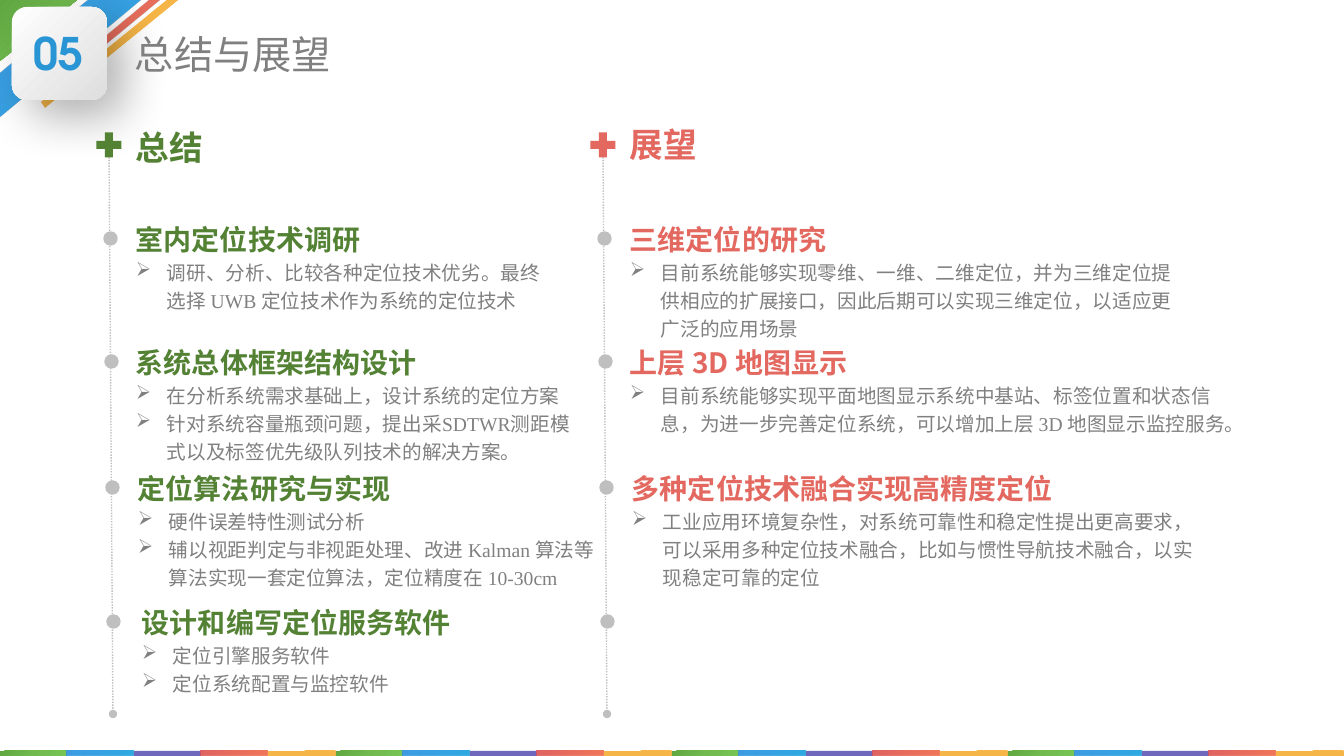
from lxml import etree
from pptx import Presentation
from pptx.dml.color import RGBColor
from pptx.enum.dml import MSO_LINE
from pptx.enum.shapes import MSO_CONNECTOR, MSO_SHAPE
from pptx.enum.text import MSO_ANCHOR, MSO_AUTO_SIZE, PP_ALIGN
from pptx.oxml.ns import qn
from pptx.util import Emu, Pt

RECT, OVAL = MSO_SHAPE.RECTANGLE, MSO_SHAPE.OVAL
PLUS, ROUNDED = MSO_SHAPE.MATH_PLUS, MSO_SHAPE.ROUNDED_RECTANGLE
STRAIGHT, DOTTED = MSO_CONNECTOR.STRAIGHT, MSO_LINE.ROUND_DOT
MIDDLE, TOP = MSO_ANCHOR.MIDDLE, MSO_ANCHOR.TOP
CENTER, LEFT = PP_ALIGN.CENTER, PP_ALIGN.LEFT
FIT = MSO_AUTO_SIZE.SHAPE_TO_FIT_TEXT

W, H = 1344, 756
SCALE = 12192000 / W
SANS, SERIF, NUMERAL = "Noto Sans CJK SC", "Times New Roman", "TeX Gyre Adventor"

GREY = RGBColor(0x80, 0x80, 0x80)
LIGHT = RGBColor(0xBF, 0xBF, 0xBF)
OLIVE = RGBColor(0x54, 0x82, 0x35)
CORAL = RGBColor(0xE3, 0x68, 0x60)
AZURE = RGBColor(0x29, 0x95, 0xD4)

GREEN_FADE = (["78C556", "70BA4E", "61A742"], 100)
BLUE_FADE = (["19A2DF", "2399E0", "2D91E0"], 90)
PURPLE_FADE = (["6057B6", "6057B6"], 90)
RED_FADE = (["F06A48", "E65F4D", "DC5153"], 90)
YELLOW_FADE = (["F5B647", "F5B547", "F5B547"], 100)
CARD_FADE = (["FFFFFF", "DEDEDE"], 100)

BANDS = [
    ([(0, 0), (77, 0), (0, 61)], GREEN_FADE),
    ([(0, 117), (141, 0), (88, 0), (0, 73)], BLUE_FADE),
    ([(73, 72), (161, 0), (150, 0), (69, 67)], RED_FADE),
    ([(45, 108), (178, 0), (167, 0), (41, 102)], YELLOW_FADE),
]
STRIP = [GREEN_FADE, BLUE_FADE, PURPLE_FADE, RED_FADE, YELLOW_FADE]
STRIP_COUNT = 20

ROW_TOPS = [216, 339, 465, 599]
ROW_INDENTS = [0, 0, 2, 6]
SUMMARY = [
    ("室内定位技术调研", 427, 125,
     ["调研、分析、比较各种定位技术优劣。最终选择 UWB 定位技术作为系统的定位技术"]),
    ("系统总体框架结构设计", 460, 129,
     ["在分析系统需求基础上，设计系统的定位方案",
      "针对系统容量瓶颈问题，提出采SDTWR测距模式以及标签优先级队列技术的解决方案。"]),
    ("定位算法研究与实现", 477, 129,
     ["硬件误差特性测试分析",
      "辅以视距判定与非视距处理、改进 Kalman 算法等算法实现一套定位算法，定位精度在 10-30cm"]),
    ("设计和编写定位服务软件", 386, 101, ["定位引擎服务软件", "定位系统配置与监控软件"]),
]
OUTLOOK = [
    ("三维定位的研究", 581, 129,
     ["目前系统能够实现零维、一维、二维定位，并为三维定位提供相应的扩展接口，因此后期可以实现三维定位，以适应更广泛的应用场景"]),
    ("上层 3D 地图显示", 616, 129,
     ["目前系统能够实现平面地图显示系统中基站、标签位置和状态信息，为进一步完善定位系统，可以增加上层 3D 地图显示监控服务。"]),
    ("多种定位技术融合实现高精度定位", 600, 129,
     ["工业应用环境复杂性，对系统可靠性和稳定性提出更高要求，可以采用多种定位技术融合，比如与惯性导航技术融合，以实现稳定可靠的定位"]),
]


def px(n):
    return Emu(round(n * SCALE))


def sub(parent, tag, **attrs):
    el = etree.SubElement(parent, qn(tag))
    for name, value in attrs.items():
        el.set(name, str(value))
    return el


def fade(sp, stops, linear=False):
    colors, alpha = stops
    sp.fill.background()
    spPr = sp.element.spPr
    grad = etree.Element(qn("a:gradFill"), rotWithShape="1")
    gsLst = sub(grad, "a:gsLst")
    for i, color in enumerate(colors):
        gs = sub(gsLst, "a:gs", pos=100000 * i // (len(colors) - 1))
        sub(sub(gs, "a:srgbClr", val=color), "a:alpha", val=alpha * 1000)
    if linear:
        sub(grad, "a:lin", ang=45 * 60000, scaled=0)
    else:
        sub(sub(grad, "a:path", path="circle"), "a:fillToRect", l=100000, t=100000)
    spPr.replace(spPr.find(qn("a:noFill")), grad)


def add_shape(s, kind, x, y, w, h, color=None):
    sp = s.shapes.add_shape(kind, px(x), px(y), px(w), px(h))
    sp.shadow.inherit = False
    sp.line.fill.background()
    if color is not None:
        sp.fill.solid()
        sp.fill.fore_color.rgb = color
    return sp


def add_band(s, points, stops):
    builder = s.shapes.build_freeform(*points[0], scale=SCALE)
    builder.add_line_segments(points[1:], close=True)
    sp = builder.convert_to_shape()
    sp.shadow.inherit = False
    sp.line.fill.background()
    fade(sp, stops)


def add_card(s):
    sp = add_shape(s, ROUNDED, 12, 7, 95, 93)
    sp.adjustments[0] = 0.16
    fade(sp, CARD_FADE, linear=True)
    shadow = sub(sp.element.spPr.find(qn("a:effectLst")), "a:outerShdw", blurRad=Pt(34),
                 dist=Pt(17), dir=45 * 60000, algn="tl", rotWithShape=0)
    sub(sub(shadow, "a:srgbClr", val="000000"), "a:alpha", val=30000)


def style(p, size, color, font, bold, spacing):
    p.line_spacing = Pt(spacing)
    for r in p.runs:
        r.font.size = Pt(size)
        r.font.bold = bold
        r.font.name = font
        r.font.color.rgb = color
        sub(r.font._element, "a:ea", typeface=SANS)


def add_text(s, text, x, y, w, h, size, color, spacing, font=SANS, bold=True,
             anchor=TOP, align=LEFT):
    tf = s.shapes.add_textbox(px(x), px(y), px(w), px(h)).text_frame
    tf.word_wrap = True
    tf.auto_size = FIT
    tf.vertical_anchor = anchor
    p = tf.paragraphs[0]
    p.text = text
    p.alignment = align
    style(p, size, color, font, bold, spacing)
    return tf


def add_bullet(tf, text):
    p = tf.add_paragraph()
    p.text = text
    style(p, 14, GREY, SERIF, False, 20)
    pPr = p._p.get_or_add_pPr()
    pPr.set("marL", str(px(31)))
    pPr.set("indent", str(-px(31)))
    sub(pPr, "a:buChar", char="➢")


def add_timeline(s, x):
    line = s.shapes.add_connector(STRAIGHT, px(x + 17), px(148), px(x + 21), px(714))
    line.line.color.rgb = LIGHT
    line.line.width = Pt(1)
    line.line.dash_style = DOTTED
    ln = line.line._get_or_add_ln()
    sub(ln, "a:headEnd", type="oval")
    sub(ln, "a:tailEnd", type="oval")
    sub(line._element.spPr, "a:effectLst")
    for i, top in enumerate(ROW_TOPS):
        dot = add_shape(s, OVAL, x + 12 + i, top + 16, 13, 13, LIGHT)
        dot.line.color.rgb = LIGHT
        dot.line.width = Pt(1)


def add_column(s, x, title, title_top, color, topics):
    add_timeline(s, x)
    add_shape(s, PLUS, x, 128, 34, 34, color)
    add_text(s, title, x + 34, title_top, 322, 50, 24, color, 30)
    for (heading, w, h, bullets), top, indent in zip(topics, ROW_TOPS, ROW_INDENTS):
        tf = add_text(s, heading, x + 34 + indent, top, w, h, 20, color, 25)
        for text in bullets:
            add_bullet(tf, text)


def main():
    prs = Presentation()
    prs.slide_width, prs.slide_height = px(W), px(H)
    s = prs.slides.add_slide(prs.slide_layouts[6])
    for points, stops in BANDS:
        add_band(s, points, stops)
    add_card(s)
    add_text(s, "05", 16, 17, 86, 71, 32, AZURE, 38, NUMERAL, anchor=MIDDLE, align=CENTER)
    add_text(s, "总结与展望", 125, 24, 503, 57, 28, GREY, 35, bold=False, anchor=MIDDLE)
    for i in range(STRIP_COUNT):
        left, right = W * i // STRIP_COUNT, W * (i + 1) // STRIP_COUNT
        fade(add_shape(s, RECT, left, 751, right - left, 5), STRIP[i % len(STRIP)])
    add_column(s, 92, "总结", 120, OLIVE, SUMMARY)
    add_column(s, 586, "展望", 117, CORAL, OUTLOOK)
    prs.save("out.pptx")


if __name__ == "__main__":
    main()
